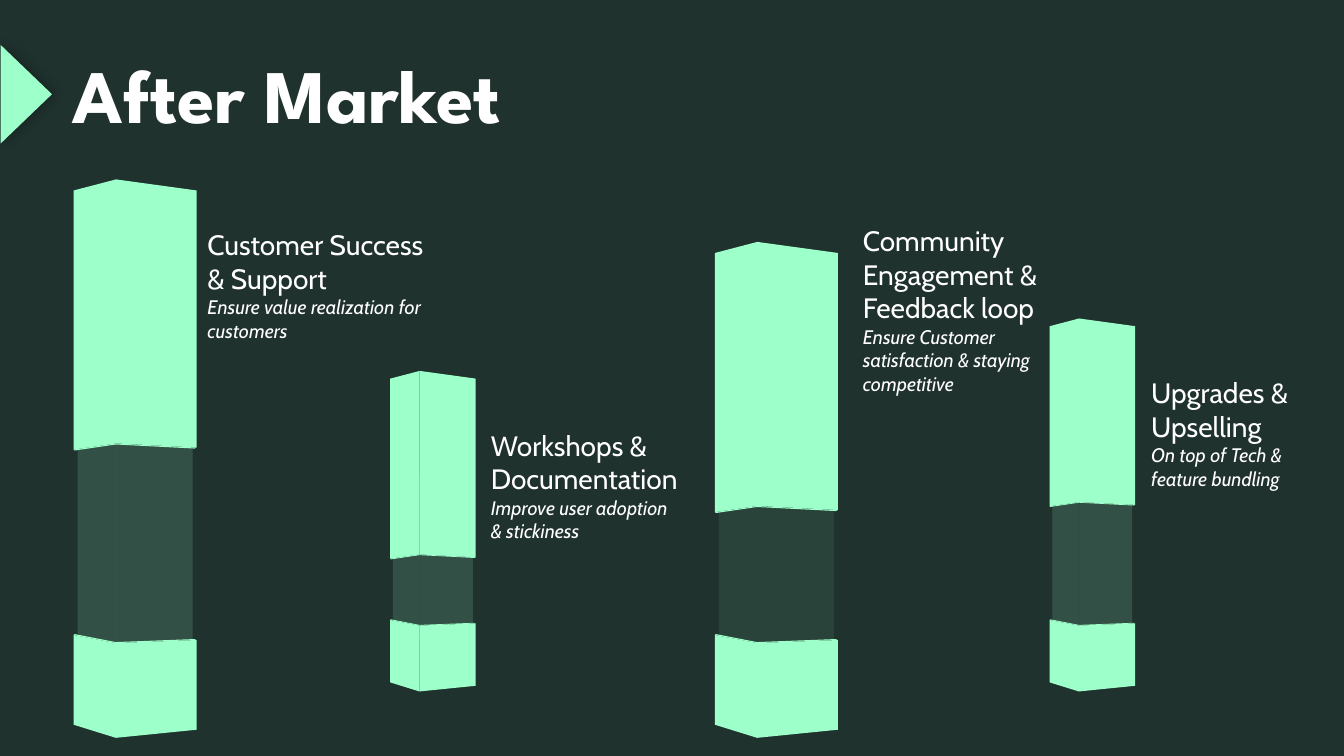
from lxml.etree import SubElement
from pptx import Presentation
from pptx.dml.color import RGBColor
from pptx.enum.shapes import MSO_SHAPE
from pptx.enum.text import MSO_ANCHOR, PP_ALIGN
from pptx.oxml.ns import qn
from pptx.util import Inches, Pt

COLORS = {"bg": "20322E", "mint": "9DFFCA", "white": "FFFFFF", "black": "000000"}
SMALL = 0.695

CAP = [
    [(0, 0.11), (0.42, 0), (0.42, 2.62), (0, 2.68)],
    [(0.42, 0), (1.22, 0.11), (1.22, 2.66), (0.42, 2.62)],
    [(0, 2.68), (0.01, 2.69), (0.42, 2.63), (0.42, 2.62)],
    [(1.22, 2.66), (1.2, 2.67), (0.42, 2.63), (0.42, 2.62)],
]
SHAFT = [
    [(0.04, -3.01), (0.43, -3.07), (0.43, -0.74), (0.04, -0.75)],
    [(0.43, -3.07), (1.18, -2.97), (1.18, -0.83), (0.43, -0.85)],
]
BASE = [
    [(0, -1.02), (0.42, -0.94), (0.42, 0), (0, -0.13)],
    [(0.42, -0.94), (1.22, -0.97), (1.22, -0.08), (0.42, 0)],
    [(0, -1.02), (0.01, -1.03), (0.42, -0.95), (0.42, -0.94)],
    [(1.22, -0.97), (1.2, -0.98), (0.42, -0.95), (0.42, -0.94)],
]

PILLARS = [
    (0.73, 1.78, 7.32, 1, 15),
    (3.87, 3.68, 6.86, SMALL, 15),
    (7.09, 2.4, 7.32, 1, 8),
    (10.41, 3.16, 6.86, SMALL, 15),
]
LABELS = [
    (1.96, 2.21, 2.54, 1.25, "Customer Success & Support",
     "Ensure value realization for customers"),
    (4.77, 4.2, 2.1, 1.25, "Workshops & Documentation",
     "Improve user adoption & stickiness"),
    (8.46, 2.17, 1.99, 1.82, "Community Engagement & Feedback loop",
     "Ensure Customer satisfaction & staying competitive"),
    (11.32, 3.68, 1.76, 1.25, "Upgrades & Upselling",
     "On top of Tech & feature bundling"),
]


def rgb(name):
    return RGBColor.from_string(COLORS[name])


def set_alpha(color, percent):
    SubElement(color, qn("a:alpha"), val=str(percent * 1000))


def fill_mint(sp, alpha=100):
    sp.shadow.inherit = False
    sp.fill.solid()
    sp.fill.fore_color.rgb = rgb("mint")
    sp.line.fill.background()
    if alpha < 100:
        set_alpha(sp._element.spPr.find(".//" + qn("a:srgbClr")), alpha)


def add_faces(s, faces, left, top, scale, alpha=100):
    group = s.shapes.add_group_shape()
    for face in faces:
        points = [(Inches(left + x * scale), Inches(top + y * scale)) for x, y in face]
        builder = group.shapes.build_freeform(*points[0])
        builder.add_line_segments(points[1:], close=True)
        fill_mint(builder.convert_to_shape(), alpha)


def add_pillar(s, left, top, bottom, scale, alpha):
    add_faces(s, SHAFT, left, bottom, scale, alpha)
    add_faces(s, BASE, left, bottom, scale)
    add_faces(s, CAP, left, top, scale)


def write(p, text, size, font="Cabin", color="white", bold=False, italic=False):
    p.alignment = PP_ALIGN.LEFT
    r = p.add_run()
    r.text = text
    r.font.size = Pt(size)
    r.font.name = font
    r.font.bold = bold
    r.font.italic = italic
    r.font.color.rgb = rgb(color)


def add_label(s, left, top, width, height, heading, detail):
    sp = s.shapes.add_textbox(Inches(left), Inches(top), Inches(width), Inches(height))
    tf = sp.text_frame
    tf.word_wrap = True
    write(tf.paragraphs[0], heading, 20)
    write(tf.add_paragraph(), detail, 14, italic=True)


def set_title(s, text):
    sp = s.shapes.title
    sp.left, sp.top, sp.width, sp.height = map(Inches, (0.62, 0.43, 5.87, 1.01))
    sp.text_frame.vertical_anchor = MSO_ANCHOR.TOP
    write(sp.text_frame.paragraphs[0], text, 54, font="League Spartan", bold=True)


def add_marker(s):
    sp = s.shapes.add_shape(MSO_SHAPE.ISOSCELES_TRIANGLE, Inches(-0.23), Inches(0.68),
                            Inches(0.98), Inches(0.51))
    sp.rotation = 90
    fill_mint(sp)
    effects = sp._element.spPr.find(qn("a:effectLst"))
    shadow = SubElement(effects, qn("a:outerShdw"), blurRad=str(Pt(8)),
                        dist=str(Pt(3)), dir="0", rotWithShape="0")
    set_alpha(SubElement(shadow, qn("a:srgbClr"), val=COLORS["black"]), 26)


def main():
    prs = Presentation()
    prs.slide_width, prs.slide_height = Inches(13.33), Inches(7.5)
    s = prs.slides.add_slide(prs.slide_layouts[5])
    s.background.fill.solid()
    s.background.fill.fore_color.rgb = rgb("bg")
    set_title(s, "After Market")
    for pillar in PILLARS:
        add_pillar(s, *pillar)
    for label in LABELS:
        add_label(s, *label)
    add_marker(s)
    prs.save("out.pptx")


if __name__ == "__main__":
    main()
